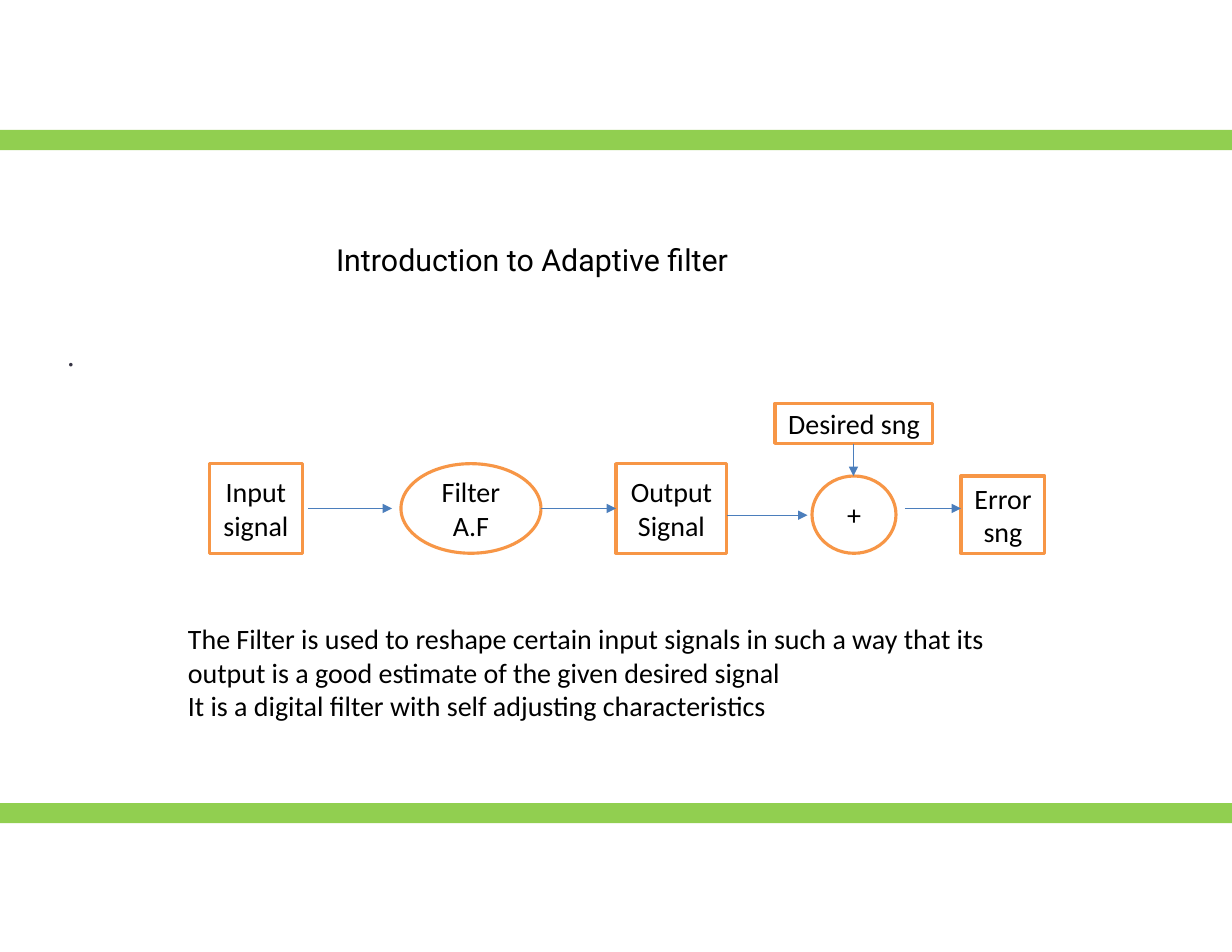
"""Build the adaptive filter introduction slide with its signal flow diagram."""
from lxml import etree
from pptx import Presentation
from pptx.dml.color import RGBColor
from pptx.enum.shapes import MSO_CONNECTOR, MSO_SHAPE
from pptx.enum.text import MSO_ANCHOR, PP_ALIGN
from pptx.oxml.ns import qn
from pptx.util import Inches, Pt

RECT, OVAL = MSO_SHAPE.RECTANGLE, MSO_SHAPE.OVAL
STRAIGHT = MSO_CONNECTOR.STRAIGHT
MIDDLE, CENTER = MSO_ANCHOR.MIDDLE, PP_ALIGN.CENTER
GREEN = RGBColor(0x91, 0xCF, 0x50)
ORANGE = RGBColor(0xF7, 0x96, 0x46)
BLUE = RGBColor(0x4B, 0x7E, 0xBC)
WHITE = RGBColor(0xFF, 0xFF, 0xFF)
BLACK = RGBColor(0, 0, 0)
DARK = RGBColor(0x36, 0x34, 0x44)


def add_block(kind, left, top, width, height, fill):
    block = page.shapes.add_shape(
        kind, Inches(left), Inches(top), Inches(width), Inches(height))
    block.shadow.inherit = False
    block.fill.solid()
    block.fill.fore_color.rgb = fill
    return block


def add_text(left, top, width, height, lines, font, size, color, inset):
    box = page.shapes.add_textbox(
        Inches(left), Inches(top), Inches(width), Inches(height))
    frame = box.text_frame
    frame.word_wrap = True
    frame.margin_left = frame.margin_right = Inches(inset)
    frame.margin_top = frame.margin_bottom = Inches(inset / 2)
    frame.text = "\n".join(lines)
    for para in frame.paragraphs:
        para.font.name = font
        para.font.size = Pt(size)
        para.font.color.rgb = color
    return frame


deck = Presentation()
deck.slide_width, deck.slide_height = Inches(11), Inches(8.5)
page = deck.slides.add_slide(deck.slide_layouts[6])

dot = add_text(0.6, 2.83, 9.69, 0.45, ["."], "Times New Roman", 19.5, DARK, 0)
dot.paragraphs[0].line_spacing = 1.52
dot.paragraphs[0].space_before = Pt(0.9)

for top in (7.17, 1.16):
    add_block(RECT, 0, top, 11, 0.18, GREEN).line.fill.background()

add_text(3, 2.15, 6.35, 0.33, ["Introduction to Adaptive filter"],
         "Roboto", 19.5, BLACK, 0)

stages = [
    (RECT, 1.87, 4.14, 0.83, 0.8, "Input signal"),
    (OVAL, 3.58, 4.14, 1.25, 0.8, "Filter A.F"),
    (RECT, 5.5, 4.14, 0.99, 0.8, "Output Signal"),
    (OVAL, 7.25, 4.25, 0.75, 0.69, "+"),
    (RECT, 6.92, 3.6, 1.41, 0.36, "Desired sng"),
    (RECT, 8.58, 4.25, 0.75, 0.69, "Error sng"),
]
for kind, left, top, width, height, label in stages:
    stage = add_block(kind, left, top, width, height, WHITE)
    stage.line.color.rgb = ORANGE
    stage.line.width = Pt(2)
    frame = stage.text_frame
    frame.word_wrap = True
    frame.vertical_anchor = MIDDLE
    frame.text = label
    para = frame.paragraphs[0]
    para.alignment = CENTER
    para.font.name = "Calibri"
    para.font.size = Pt(18)
    para.font.color.rgb = BLACK

arrows = [
    (2.75, 4.54, 3.5, 4.54),
    (4.83, 4.54, 5.5, 4.54),
    (6.49, 4.6, 7.21, 4.6),
    (8.08, 4.54, 8.58, 4.54),
    (7.62, 3.96, 7.62, 4.25),
]
for ends in arrows:
    arrow = page.shapes.add_connector(STRAIGHT, *map(Inches, ends))
    arrow.line.color.rgb = BLUE
    arrow.line.width = Pt(0.75)
    etree.SubElement(arrow.line._get_or_add_ln(), qn("a:tailEnd"), type="triangle")
    etree.SubElement(arrow._element.spPr, qn("a:effectLst"))

add_text(1.58, 5.5, 7.8, 1.01, [
    "The Filter is used to reshape certain input signals in such a way that its "
    "output is a good estimate of the given desired signal",
    "It is a digital filter with self adjusting characteristics",
], "Calibri", 18, BLACK, 0.1)

deck.save("out.pptx")
